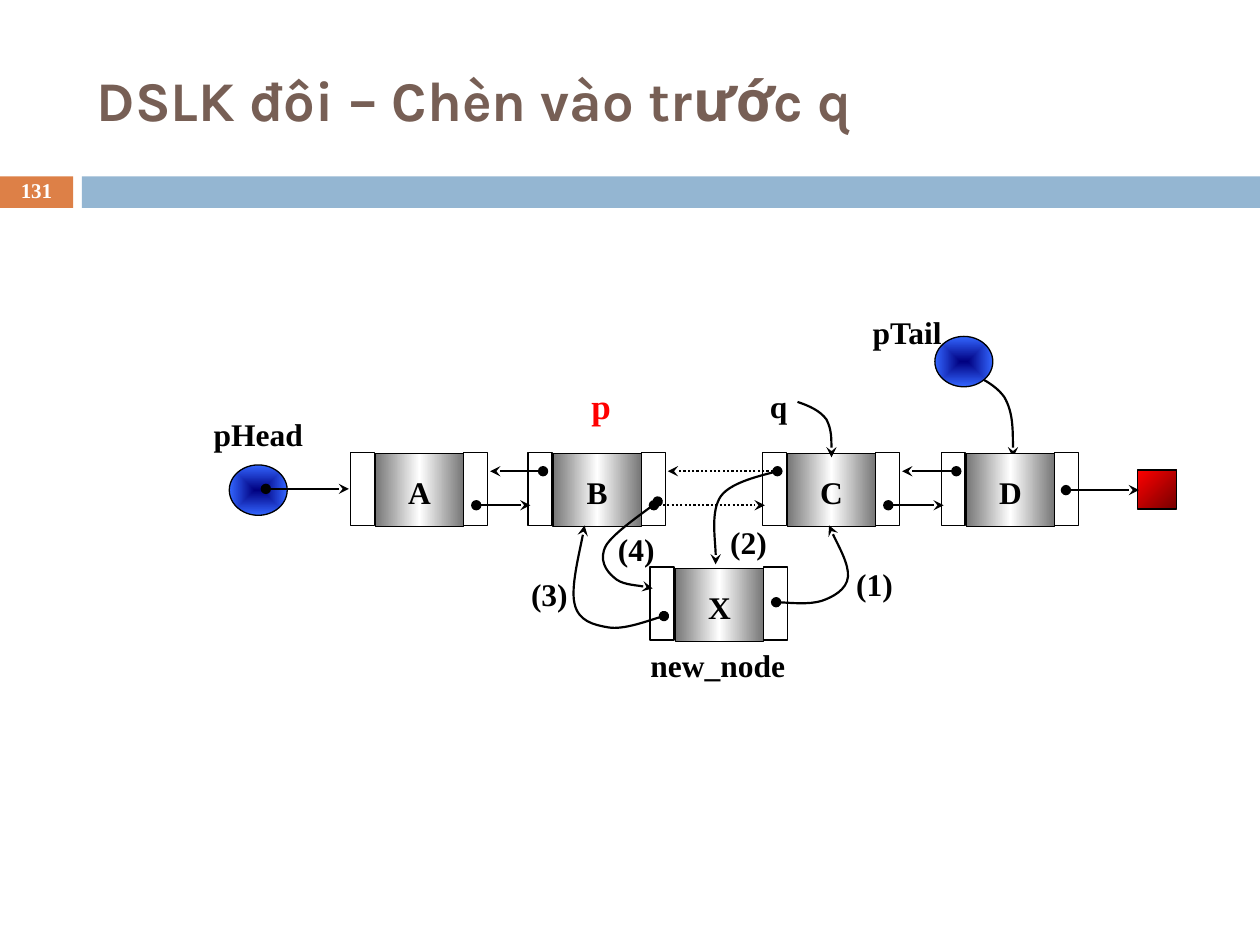
from dataclasses import dataclass
from lxml import etree
from pptx import Presentation
from pptx.dml.color import RGBColor
from pptx.enum import dml, shapes, text
from pptx.oxml.ns import qn
from pptx.util import Inches, Pt


@dataclass(frozen=True)
class Theme:
    title_font: str = "Karla"
    body_font: str = "Times New Roman"
    title_size: int = 32
    pointer_size: int = 20
    body_size: int = 18
    number_size: int = 12
    title: str = "775F55"
    number_fill: str = "DD8047"
    band: str = "94B6D2"
    ink: str = "000000"
    paper: str = "FFFFFF"
    highlight: str = "FF0000"
    outline: float = 0.75
    stroke: float = 1.25
    steel: tuple = ((0, "767676"), (50, "FFFFFF"), (100, "767676"))
    ball: tuple = ((0, "000080"), (100, "3366FF"))
    end_mark: tuple = ((0, "FF0000"), (100, "760000"))


@dataclass(frozen=True)
class Box:
    left: float
    top: float
    width: float
    height: float

    def point(self, x, y):
        return Inches(self.left + x), Inches(self.top + y)

    def inner(self, x, y, width, height):
        return Box(self.left + x, self.top + y, width, height)

    def place(self):
        return [Inches(side) for side in (self.left, self.top, self.width, self.height)]


THEME = Theme()
RECT = shapes.MSO_SHAPE.RECTANGLE
OVAL = shapes.MSO_SHAPE.OVAL
CENTER = text.PP_ALIGN.CENTER


def write(shape, words, size=THEME.body_size, color=THEME.ink, font=THEME.body_font,
          align=CENTER, insets=(0, 0, 0, 0), wrap=True):
    frame = shape.text_frame
    frame.word_wrap = wrap
    frame.vertical_anchor = text.MSO_ANCHOR.MIDDLE
    frame.margin_left, frame.margin_top, frame.margin_right, frame.margin_bottom = map(Inches, insets)
    para = frame.paragraphs[0]
    para.alignment = align
    span = para.add_run()
    span.text = words
    span.font.name, span.font.size, span.font.bold = font, Pt(size), True
    span.font.color.rgb = RGBColor.from_string(color)
    return para


def add_label(page, box, words, **style):
    return write(page.shapes.add_textbox(*box.place()), words, **style)


def add_block(page, box, kind=RECT, fill=None, outlined=True):
    shape = page.shapes.add_shape(kind, *box.place())
    shape.shadow.inherit = False
    if fill:
        shape.fill.solid()
        shape.fill.fore_color.rgb = RGBColor.from_string(fill)
    else:
        shape.fill.background()
    if outlined:
        shape.line.color.rgb = RGBColor.from_string(THEME.ink)
        shape.line.width = Pt(THEME.outline)
    else:
        shape.line.fill.background()
    return shape


def shade(shape, stops, angle=None):
    gradient = etree.Element(qn("a:gradFill"), rotWithShape="1")
    listing = etree.SubElement(gradient, qn("a:gsLst"))
    for position, color in stops:
        stop = etree.SubElement(listing, qn("a:gs"), pos=str(position * 1000))
        etree.SubElement(stop, qn("a:srgbClr"), val=color)
    if angle is None:
        radial = etree.SubElement(gradient, qn("a:path"), path="shape")
        etree.SubElement(radial, qn("a:fillToRect"), l="50000", t="50000", r="50000", b="50000")
    else:
        etree.SubElement(gradient, qn("a:lin"), ang=str(angle * 60000), scaled="1")
    properties = shape._element.spPr
    properties.replace(properties.find(qn("a:noFill")), gradient)


def style_arrow(arrow, dotted=False, dot=True):
    arrow.line.color.rgb = RGBColor.from_string(THEME.ink)
    arrow.line.width = Pt(THEME.stroke)
    if dotted:
        arrow.line.dash_style = dml.MSO_LINE.ROUND_DOT
    line = arrow._element.spPr.find(qn("a:ln"))
    if dot:
        etree.SubElement(line, qn("a:headEnd"), type="oval")
    etree.SubElement(line, qn("a:tailEnd"), type="stealth")


def add_arrow(page, box, start, end, dotted=False):
    arrow = page.shapes.add_connector(shapes.MSO_CONNECTOR.STRAIGHT, *box.point(*start), *box.point(*end))
    style_arrow(arrow, dotted)
    etree.SubElement(arrow._element.spPr, qn("a:effectLst"))


def add_curve(page, box, points, dot=True):
    start, *rest = [box.point(*point) for point in points]
    builder = page.shapes.build_freeform(*start)
    builder.add_line_segments(rest, close=False)
    curve = builder.convert_to_shape()
    curve.shadow.inherit = False
    curve.fill.background()
    segments = list(curve._element.iter(qn("a:lnTo")))
    for index in range(0, len(segments), 3):
        bend = etree.Element(qn("a:cubicBezTo"))
        segments[index].addprevious(bend)
        for segment in segments[index:index + 3]:
            bend.append(segment[0])
            segment.getparent().remove(segment)
    style_arrow(curve, dot=dot)


def add_header(page, box):
    number_box = box.inner(0, 1.4, 0.58, 0.25)
    add_block(page, number_box, fill=THEME.number_fill, outlined=False)
    add_block(page, box.inner(0.65, 1.4, box.width - 0.65, 0.25), fill=THEME.band, outlined=False)
    add_label(page, box.inner(0.67, 0.25, 8.92, 1.08), "DSLK đôi – Chèn vào trước q",
              size=THEME.title_size, color=THEME.title, font=THEME.title_font,
              align=text.PP_ALIGN.LEFT, insets=(0.1, 0.05, 0.1, 0.05))
    number = add_label(page, number_box, "131", size=THEME.number_size, color=THEME.paper)
    number.line_spacing = 0.8


def add_node(page, box, name):
    for x in (0, 0.9):
        add_block(page, box.inner(x, 0, 0.19, box.height))
    center = add_block(page, box.inner(0.2, 0.01, 0.7, box.height))
    shade(center, THEME.steel, 0)
    write(center, name, insets=(0, 0.03, 0, 0))


def add_ball(page, box):
    shade(add_block(page, box, OVAL), THEME.ball)


def add_chain(page, box):
    add_curve(page, box, [(6.6, 0.92), (6.75, 0.98), (6.89, 1.04), (6.97, 1.15),
                          (7.04, 1.27), (7.04, 1.45), (7.04, 1.63)], dot=False)
    for x, y in ((0.82, 1.69), (6.42, 0.67)):
        add_ball(page, box.inner(x, y, 0.46, 0.4))
    shade(add_block(page, box.inner(8.03, 1.73, 0.31, 0.31)), THEME.end_mark, 45)

    top = 1.59
    lefts = {"A": 1.78, "B": 3.19, "C": 5.05, "D": 6.47}
    for name, left in lefts.items():
        add_node(page, box.inner(left, top, 1.09, 0.58), name)
    names = list(lefts)
    for before, after in zip(names, names[1:]):
        left, right = lefts[before], lefts[after]
        dotted = after == "C"
        add_arrow(page, box, (left + 1, top + 0.42), (right + 0.02, top + 0.42), dotted)
        add_arrow(page, box, (right + 0.12, top + 0.15), (left + 1.11, top + 0.15), dotted)
    add_arrow(page, box, (1.11, 1.88), (1.77, 1.88))
    add_arrow(page, box, (7.46, 1.89), (8.04, 1.89))

    add_label(page, box.inner(0.6, 1.23, 0.9, 0.42), "pHead")
    add_label(page, box.inner(5.75, 0.42, 0.9, 0.42), "pTail")
    add_label(page, box.inner(4.91, 1, 0.54, 0.44), "q")
    add_label(page, box.inner(3.5, 1, 0.54, 0.44), "p", size=THEME.pointer_size, color=THEME.highlight)
    add_curve(page, box, [(5.33, 1.19), (5.42, 1.22), (5.51, 1.26), (5.56, 1.33),
                          (5.6, 1.41), (5.6, 1.52), (5.6, 1.63)], dot=False)


def add_insertion(page, box):
    add_node(page, box.inner(4.16, 2.5, 1.09, 0.58), "X")
    add_label(page, box.inner(4.05, 3.08, 1.28, 0.4), "new_node",
              align=text.PP_ALIGN.RIGHT, insets=(0.1, 0.05, 0.1, 0.05), wrap=False)
    steps = [
        ("(1)", (5.68, 2.44), True, [(5.16, 2.78), (5.22, 2.78), (5.42, 2.8), (5.52, 2.77), (5.61, 2.74),
                                     (5.72, 2.68), (5.73, 2.58), (5.74, 2.48), (5.61, 2.25), (5.58, 2.17)]),
        ("(2)", (4.68, 2.11), False, [(5.2, 1.73), (5.12, 1.76), (4.81, 1.81), (4.72, 1.94),
                                      (4.64, 2.06), (4.69, 2.37), (4.68, 2.48)]),
        ("(3)", (3.1, 2.52), True, [(4.27, 2.89), (4.19, 2.91), (3.95, 3), (3.83, 2.98), (3.71, 2.96),
                                    (3.59, 2.93), (3.56, 2.79), (3.53, 2.66), (3.62, 2.3), (3.64, 2.17)]),
        ("(4)", (3.79, 2.17), True, [(4.22, 1.98), (4.15, 2.04), (3.87, 2.23), (3.81, 2.33), (3.75, 2.44),
                                     (3.81, 2.53), (3.87, 2.58), (3.93, 2.64), (4.12, 2.65), (4.18, 2.67)]),
    ]
    for words, corner, dot, points in steps:
        add_curve(page, box, points, dot)
        add_label(page, box.inner(*corner, 0.52, 0.38), words)


def main():
    deck = Presentation()
    deck.slide_width, deck.slide_height = Inches(10), Inches(7.5)
    page = deck.slides.add_slide(deck.slide_layouts[6])
    diagram = Box(1, 2, 9, 4)
    add_header(page, Box(0, 0, 10, 1.65))
    add_chain(page, diagram)
    add_insertion(page, diagram)
    deck.save("out.pptx")


if __name__ == "__main__":
    main()
